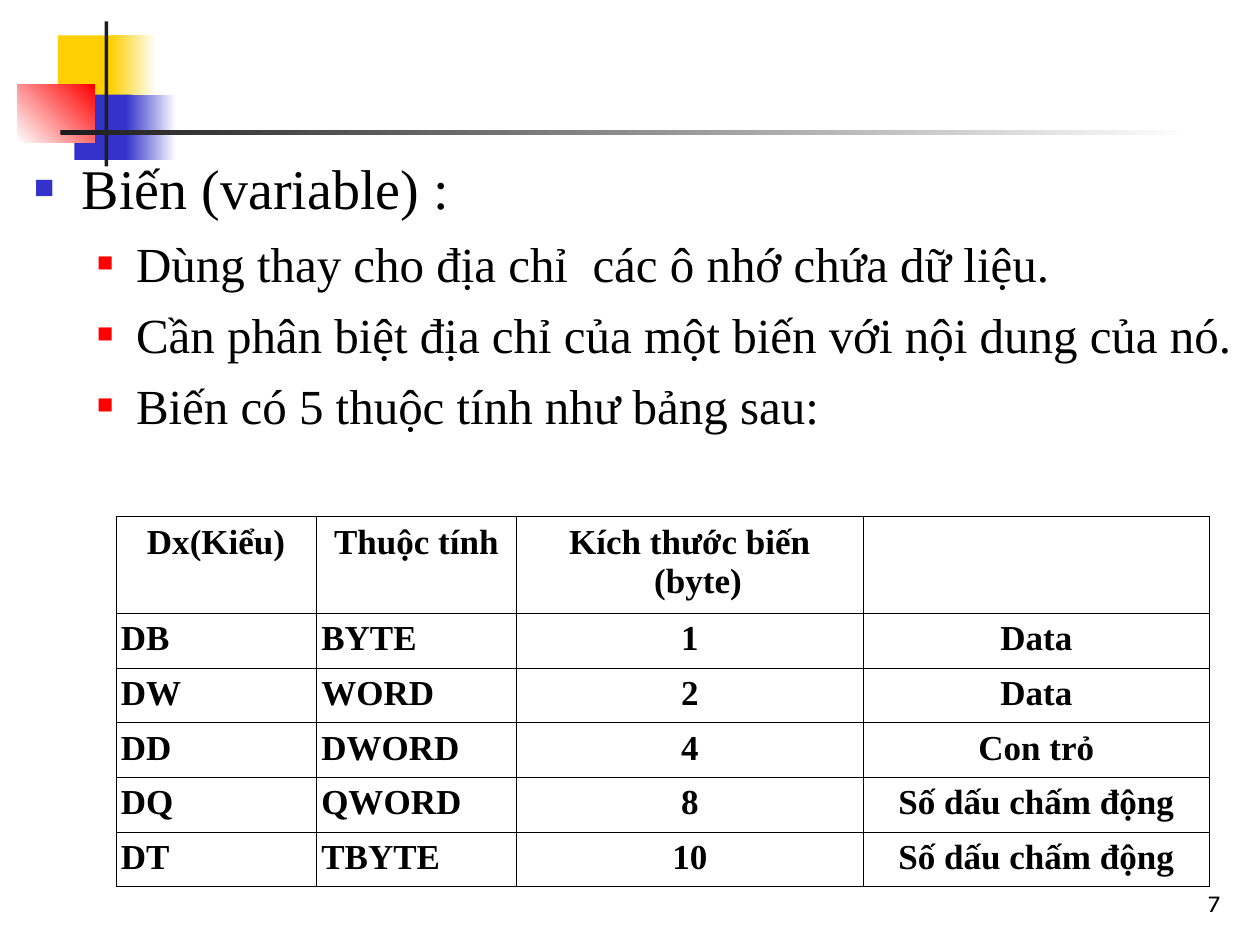
from lxml.etree import SubElement
from pptx import Presentation
from pptx.dml.color import RGBColor
from pptx.enum.shapes import MSO_SHAPE
from pptx.enum.text import MSO_ANCHOR, MSO_AUTO_SIZE, PP_ALIGN
from pptx.oxml import parse_xml
from pptx.oxml.ns import nsdecls, qn
from pptx.util import Emu, Pt

SCALE = 9144  # EMU in one px, at 100 px to the inch
SERIF = "Times New Roman"
BLACK, WHITE, DARK = "000000", "FFFFFF", "1C1C1C"
YELLOW, BLUE, RED = "FFCF01", "3333CC", "FF0000"

# Per level: text size, space before, left margin, hanging indent, bullet colour, bullet %
LEVELS = [(32, 0, 38, 38, BLUE, 60), (28, 7, 81, 31, RED, 55)]
POINTS = [
    (0, "Biến (variable) :"),
    (1, "Dùng thay cho địa chỉ  các ô nhớ chứa dữ liệu."),
    (1, "Cần phân biệt địa chỉ của một biến với nội dung của nó."),
    (1, "Biến có 5 thuộc tính như bảng sau:"),
]

COLUMNS = [159, 159, 275, 275]
ROWS = [67, 40, 40, 42, 42, 42]
TYPES = [
    ("Dx(Kiểu)", "Thuộc tính", "Kích thước biến (byte)", ""),
    ("DB", "BYTE", "1", "Data"),
    ("DW", "WORD", "2", "Data"),
    ("DD", "DWORD", "4", "Con trỏ"),
    ("DQ", "QWORD", "8", "Số dấu chấm động"),
    ("DT", "TBYTE", "10", "Số dấu chấm động"),
]


def px(length):
    return Emu(length * SCALE)


def color(value):
    return RGBColor.from_string(value)


def add_span(para, text, size, font=SERIF, bold=False):
    span = para.add_run()
    span.text = text
    span.font.name = font
    span.font.size = Pt(size)
    span.font.bold = bold
    span.font.color.rgb = color(BLACK)


def set_hanging(para, margin, hang):
    properties = para._p.get_or_add_pPr()
    properties.set("marL", str(px(margin)))
    properties.set("indent", str(-px(hang)))
    return properties


def add_block(page, left, top, width, height, start, end=None, angle=0):
    """Add a borderless rectangle, fading from start to end when end is given."""
    block = page.shapes.add_shape(
        MSO_SHAPE.RECTANGLE, px(left), px(top), px(width), px(height))
    block.shadow.inherit = False
    block.line.fill.background()
    if end is None:
        block.fill.solid()
        block.fill.fore_color.rgb = color(start)
        return
    block.fill.gradient()
    block.fill.gradient_angle = angle
    for stop, value, position in zip(block.fill.gradient_stops, (start, end), (0, 1)):
        stop.color.rgb = color(value)
        stop.position = position


def add_ornament(page, left, top):
    add_block(page, left + 32, top + 11, 48, 52, YELLOW)
    add_block(page, left + 74, top + 11, 36, 52, YELLOW, WHITE)
    add_block(page, left + 45, top + 58, 46, 52, BLUE)
    add_block(page, left + 86, top + 58, 40, 52, BLUE, WHITE)
    add_block(page, left, top + 50, 61, 46, WHITE, RED, 45)
    add_block(page, left + 69, top, 3, 115, DARK)
    add_block(page, left + 34, top + 86, 900, 4, DARK, WHITE)


def fill_body(body, left, top, width, height):
    body.left, body.top, body.width, body.height = map(px, (left, top, width, height))
    frame = body.text_frame
    frame.auto_size = MSO_AUTO_SIZE.NONE
    for index, (level, text) in enumerate(POINTS):
        para = frame.add_paragraph() if index else frame.paragraphs[0]
        size, before, margin, hang, bullet_color, bullet_size = LEVELS[level]
        para.level = level
        para.space_before = Pt(before)
        properties = set_hanging(para, margin, hang)
        SubElement(SubElement(properties, qn("a:buClr")), qn("a:srgbClr"), val=bullet_color)
        SubElement(properties, qn("a:buSzPct"), val=str(bullet_size * 1000))
        SubElement(properties, qn("a:buFont"), typeface=SERIF)
        SubElement(properties, qn("a:buChar"), char="■")
        add_span(para, text, size)


def add_borders(cell):
    properties = cell._tc.get_or_add_tcPr()
    for index, side in enumerate(("lnL", "lnR", "lnT", "lnB")):
        properties.insert(index, parse_xml(
            f'<a:{side} {nsdecls("a")} w="{Pt(0.45)}"><a:solidFill>'
            f'<a:srgbClr val="{BLACK}"/></a:solidFill></a:{side}>'))


def add_type_table(page, left, top):
    table = page.shapes.add_table(
        len(ROWS), len(COLUMNS), px(left), px(top), px(sum(COLUMNS)), px(sum(ROWS))).table
    table.first_row = table.horz_banding = False
    for column, width in zip(table.columns, COLUMNS):
        column.width = px(width)
    for row_index, (row, height, texts) in enumerate(zip(table.rows, ROWS, TYPES)):
        row.height = px(height)
        for column_index, (cell, text) in enumerate(zip(row.cells, texts)):
            cell.margin_left = cell.margin_right = px(4)
            cell.margin_top = cell.margin_bottom = px(5)
            cell.fill.background()
            add_borders(cell)
            if not text:
                continue
            para = cell.text_frame.paragraphs[0]
            centred = row_index == 0 or column_index > 1
            para.alignment = PP_ALIGN.CENTER if centred else PP_ALIGN.LEFT
            set_hanging(para, 13, 13)
            add_span(para, text, 20, bold=True)


def add_page_number(page, left, top, width, height):
    box = page.shapes.add_textbox(px(left), px(top), px(width), px(height))
    frame = box.text_frame
    frame.word_wrap = True
    frame.vertical_anchor = MSO_ANCHOR.BOTTOM
    para = frame.paragraphs[0]
    para.alignment = PP_ALIGN.RIGHT
    add_span(para, "7", 14, font="Karla")


def main():
    deck = Presentation()
    deck.slide_width, deck.slide_height = px(1000), px(750)
    page = deck.slides.add_slide(deck.slide_layouts[1])
    title, body = page.placeholders
    title._element.getparent().remove(title._element)
    add_ornament(page, 14, 17)
    body._element.getparent().append(body._element)  # bring in front of the ornament
    fill_body(body, 17, 117, 983, 592)
    add_page_number(page, 770, 683, 208, 50)
    add_type_table(page, 92, 410)
    deck.save("out.pptx")


if __name__ == "__main__":
    main()
